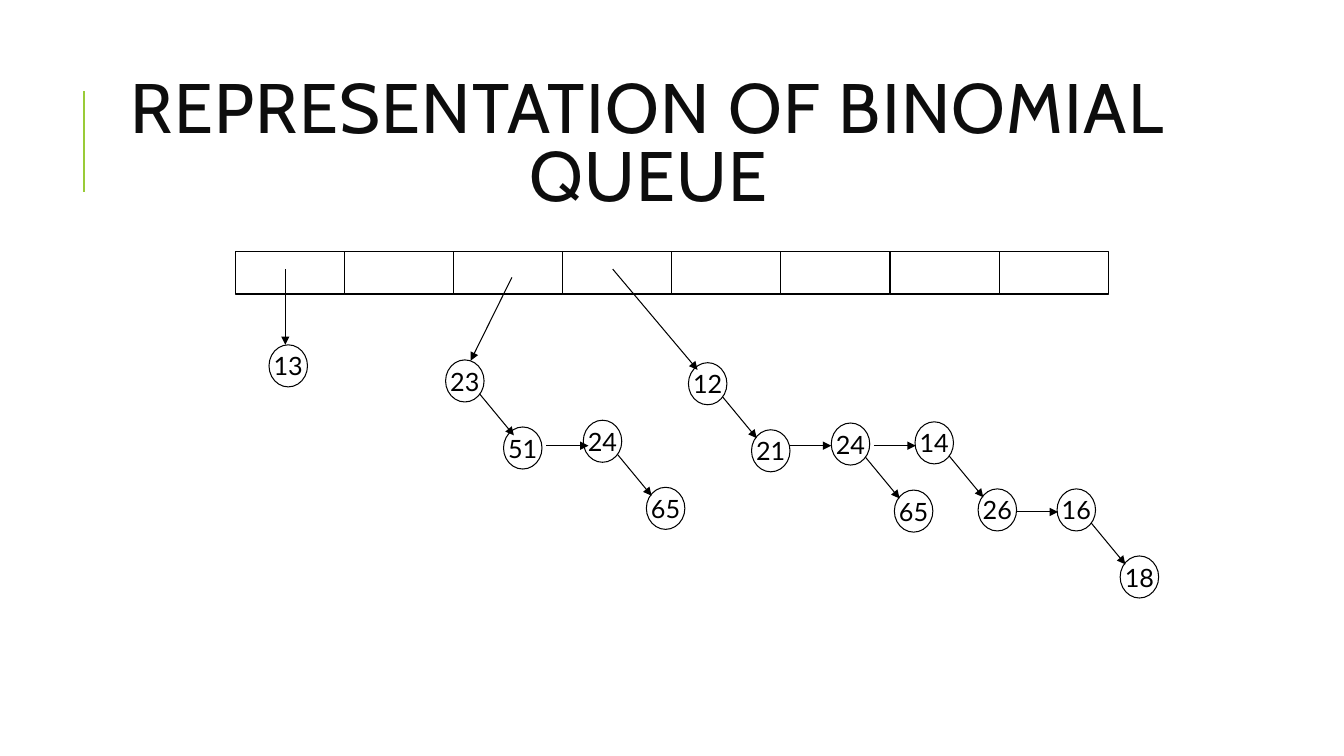
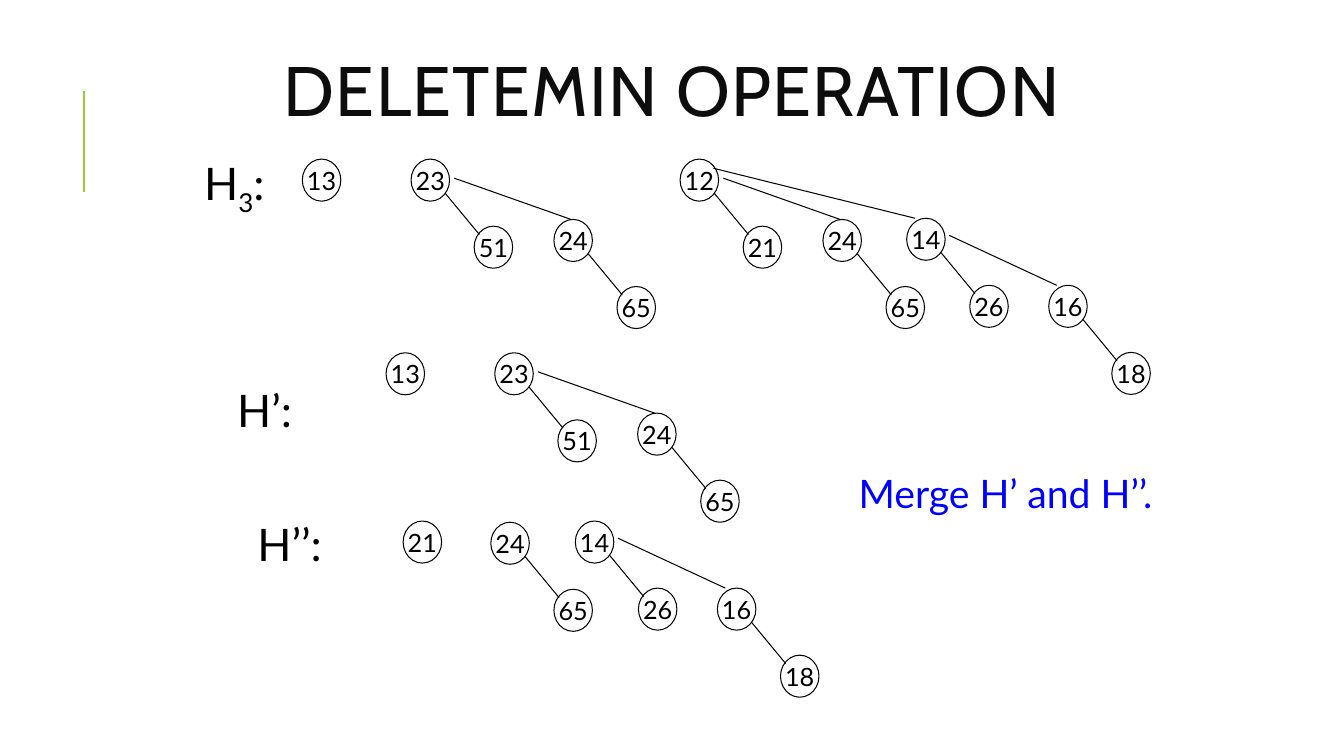
from pptx import Presentation
from pptx.dml.color import RGBColor
from pptx.enum.shapes import MSO_CONNECTOR as Conn, MSO_SHAPE as Form
from pptx.enum.text import MSO_ANCHOR as Anchor, MSO_AUTO_SIZE as Fit, PP_ALIGN as Align
from pptx.oxml.ns import qn
from pptx.util import Cm, Pt
from lxml.etree import SubElement

INK = {"black": "000000", "title": "0D0D0D", "green": "99CB38", "blue": "0000FF"}
FONTS = {
    "title": {"name": "Cabin", "size": Pt(50)},
    "node": {"name": "Lato", "size": Pt(18)},
    "label": {"name": "Lato", "size": Pt(32)},
    "note": {"name": "Lato", "size": Pt(28)},
}
NODE_W, NODE_H = 0.97, 1.06
CELL_W, CELL_H = 2.75, 1.06
STEP = 1.06

# Links in cm: child offset, line start from the parent, line end from the child
LEFT = (1.59, 1.69, 0.86, 0.86, 0.13, 0.21)
MID = (3.6, 1.52, 1.09, 0.48, 0.43, 0)
FAR = (5.71, 1.49, 0.84, 0.23, 0.21, 0)
SIDE = (3.58, 1.69, 1.07, 0.43, 0.2, 0)
NEAR = (1.46, 1.69, 0.86, 0.86, 0.26, 0.21)
NEAR_MID = (3.47, 1.52, 1.09, 0.48, 0.43, 0)


def leaf(key):
    return key, []


# A tree is its key and a list of (link, subtree)
T13, T21 = leaf("13"), leaf("21")
T24 = ("24", [(LEFT, leaf("65"))])
T14 = ("14", [(LEFT, leaf("26")), (SIDE, ("16", [(LEFT, leaf("18"))]))])
T12 = ("12", [(LEFT, T21), (MID, T24), (FAR, T14)])
T23 = ("23", [(LEFT, leaf("51")), (MID, T24)])
SLIM = ("23", [(NEAR, leaf("51")), (NEAR_MID, T24)])


def color(name):
    return RGBColor.from_string(INK[name])


def place(shape, *box):
    for side, val in zip(("left", "top", "width", "height"), box):
        setattr(shape, side, Cm(val))


class Deck:
    def __init__(self):
        self.prs = Presentation()
        self.prs.slide_width, self.prs.slide_height = Cm(33.87), Cm(19.05)

    def slide(self, text, *box):
        """Start a slide with its title and the green bar."""
        self.page = self.prs.slides.add_slide(self.prs.slide_layouts[5])
        self.line(2.11, 4.83, 2.11, 2.29, ink="green", width=1.5)
        title = self.page.shapes.title
        place(title, *box)
        self.text(title, [text], "title", ink="title", anchor=Anchor.MIDDLE, wrap=True)
        title.text_frame.paragraphs[0].line_spacing = 0.8
        for prop in title.element.iter(qn("a:rPr")):
            prop.set("spc", "100")

    def text(self, shape, parts, font, ink="black", align=Align.CENTER,
             anchor=Anchor.TOP, wrap=False):
        frame = shape.text_frame
        look = {"word_wrap": wrap, "auto_size": Fit.NONE, "vertical_anchor": anchor}
        for name, val in look.items():
            setattr(frame, name, val)
        para = frame.paragraphs[0]
        para.alignment = align
        for part in parts:
            run = para.add_run()
            run.text = part
            for name, val in FONTS[font].items():
                setattr(run.font, name, val)
            run.font.color.rgb = color(ink)

    def line(self, x1, y1, x2, y2, ink="black", width=0.75, arrow=False):
        ends = [Cm(v) for v in (x1, y1, x2, y2)]
        line = self.page.shapes.add_connector(Conn.STRAIGHT, *ends)
        line.line.color.rgb = color(ink)
        line.line.width = Pt(width)
        props = line.element.spPr
        if arrow:
            SubElement(props.find(qn("a:ln")), qn("a:tailEnd"), type="triangle")
        SubElement(props, qn("a:effectLst"))

    def form(self, kind, *box):
        """Add an unfilled, black-edged shape."""
        shape = self.page.shapes.add_shape(kind, *[Cm(v) for v in box])
        shape.shadow.inherit = False
        shape.fill.background()
        shape.line.color.rgb = color("black")
        shape.line.width = Pt(0.75)
        return shape

    def tree(self, tree, x, y, arrow=False):
        """Draw a tree; with arrows, only first children are linked."""
        key, kids = tree
        node = self.form(Form.OVAL, x, y, NODE_W, NODE_H)
        self.text(node, [key], "node", anchor=Anchor.MIDDLE)
        for rank, (link, kid) in enumerate(kids):
            dx, dy, sx, sy, ex, ey = link
            if rank == 0 or not arrow:
                self.line(x + sx, y + sy, x + dx + ex, y + dy + ey, arrow=arrow)
            self.tree(kid, x + dx, y + dy, arrow)

    def label(self, parts, *box, font="label", **look):
        shape = self.page.shapes.add_textbox(*[Cm(v) for v in box])
        self.text(shape, parts, font, **look)
        return shape


def array(deck):
    deck.slide("REPRESENTATION OF BINOMIAL QUEUE", 2.84, 1.63, 27, 4.17)
    for i in range(8):
        deck.form(Form.RECTANGLE, 5.93 + i * CELL_W, 6.35, CELL_W, CELL_H)
    for tree, x, y in ((T13, 6.78, 8.69), (SLIM, 11.23, 9.07), (T12, 17.35, 9.14)):
        deck.tree(tree, x, y, arrow=True)
    for ends in ((7.19, 6.78, 7.19, 8.69), (12.9, 6.99, 11.86, 9.09),
                 (15.44, 6.78, 17.58, 9.32)):
        deck.line(*ends, arrow=True)
    for x, y in ((13.77, 11.23), (19.89, 11.23), (22.02, 11.23), (25.6, 12.9)):
        deck.line(x, y, x + STEP, y, arrow=True)


def delete(deck):
    deck.slide("DELETEMIN OPERATION", 5.51, 1.27, 22.86, 2.34)
    for tree, x, y in (
        (T13, 7.62, 4.01), (T23, 10.36, 4.01), (T12, 17.14, 4.01),
        (T13, 9.73, 8.89), (T23, 12.47, 8.89),
        (T21, 10.16, 13.13), (T24, 12.37, 13.16), (T14, 14.5, 13.13),
    ):
        deck.tree(tree, x, y)
    heap = deck.label(["H", "3", ":"], 4.85, 3.81, 2.11, 1.63)
    props = list(heap.element.iter(qn("a:rPr")))
    props[1].set("baseline", "-25000")
    deck.label(["H’:"], 5.72, 9.53, 1.9, 1.6)
    deck.label(["H’’:"], 6.22, 12.9, 2.16, 1.6)
    deck.label(["Merge H’ and H’’."], 21.39, 11.71, 8.03, 1.45,
               font="note", ink="blue", align=Align.LEFT)


def main():
    deck = Deck()
    array(deck)
    delete(deck)
    deck.prs.save("out.pptx")


if __name__ == "__main__":
    main()
